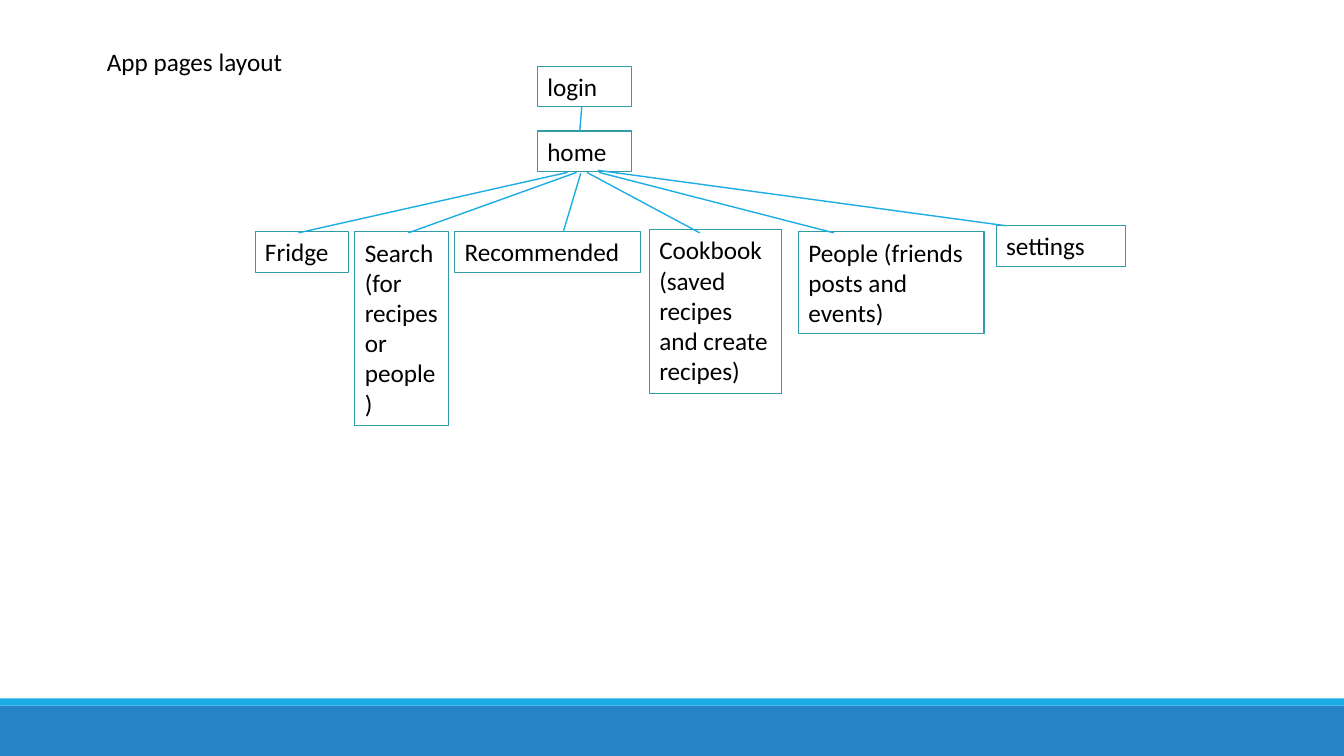
from lxml import etree
from pptx import Presentation
from pptx.dml.color import RGBColor
from pptx.enum.shapes import MSO_CONNECTOR, MSO_SHAPE
from pptx.enum.text import MSO_ANCHOR, MSO_AUTO_SIZE, PP_ALIGN
from pptx.oxml.ns import qn
from pptx.util import Inches, Pt

BAND_BLUE, SKY, TEAL, BLACK = "2683C6", "1CADE4", "329BA8", "000000"

# left, top, width, height, label
PAGES = [
    (5.33, 0.66, 0.93, 0.4, "login"),
    (5.33, 1.3, 0.93, 0.4, "home"),
    (2.53, 2.3, 0.93, 0.4, "Fridge"),
    (3.52, 2.3, 0.93, 1.92, "Search (for recipes or people)"),
    (4.51, 2.3, 1.84, 0.4, "Recommended"),
    (6.44, 2.28, 1.31, 1.62, "Cookbook (saved recipes and create recipes)"),
    (7.92, 2.3, 1.84, 1.01, "People (friends posts and events)"),
    (9.88, 2.24, 1.28, 0.4, "settings"),
]

# start x, start y, end x, end y
LINKS = [
    (5.77, 1.06, 5.75, 1.3),
    (5.63, 1.71, 2.96, 2.31),
    (5.72, 1.71, 4.05, 2.31),
    (5.76, 1.72, 5.59, 2.29),
    (5.82, 1.71, 6.94, 2.31),
    (5.94, 1.71, 8.27, 2.31),
    (5.93, 1.69, 9.98, 2.24),
]


def color(value):
    return RGBColor.from_string(value)


class SiteMap:
    """Holds the text style and the slide being drawn."""

    def __init__(self, page, font="Calibri", size=18):
        self.page = page
        self.font = font
        self.size = size

    def add_text(self, shape, text):
        frame = shape.text_frame
        frame.word_wrap = True
        frame.auto_size = MSO_AUTO_SIZE.SHAPE_TO_FIT_TEXT
        frame.vertical_anchor = MSO_ANCHOR.TOP
        para = frame.paragraphs[0]
        para.alignment = PP_ALIGN.LEFT
        span = para.add_run()
        span.text = text
        span.font.name = self.font
        span.font.size = Pt(self.size)
        span.font.color.rgb = color(BLACK)

    def title(self, left, top, width, height, text):
        box = self.page.shapes.title
        box.left, box.top = Inches(left), Inches(top)
        box.width, box.height = Inches(width), Inches(height)
        self.add_text(box, text)

    def rectangle(self, left, top, width, height):
        box = self.page.shapes.add_shape(
            MSO_SHAPE.RECTANGLE,
            Inches(left), Inches(top), Inches(width), Inches(height))
        box.shadow.inherit = False
        return box

    def band(self, top, height, fill):
        band = self.rectangle(0, top, 13.33, height)
        band.fill.solid()
        band.fill.fore_color.rgb = color(fill)
        band.line.fill.background()

    def app_page(self, left, top, width, height, label):
        box = self.rectangle(left, top, width, height)
        box.fill.background()
        box.line.color.rgb = color(TEAL)
        box.line.width = Pt(0.75)
        self.add_text(box, label)

    def link(self, *ends):
        line = self.page.shapes.add_connector(
            MSO_CONNECTOR.STRAIGHT, *map(Inches, ends))
        line.line.color.rgb = color(SKY)
        line.line.width = Pt(1)
        etree.SubElement(line._element.spPr, qn("a:effectLst"))


def main():
    deck = Presentation()
    deck.slide_width, deck.slide_height = Inches(13.33), Inches(7.5)
    site_map = SiteMap(deck.slides.add_slide(deck.slide_layouts[5]))
    site_map.band(7, 0.5, BAND_BLUE)
    site_map.band(6.93, 0.07, SKY)
    for app_page in PAGES:
        site_map.app_page(*app_page)
    for link in LINKS:
        site_map.link(*link)
    site_map.title(0.96, 0.41, 2.57, 0.4, "App pages layout")
    deck.save("out.pptx")


if __name__ == "__main__":
    main()
